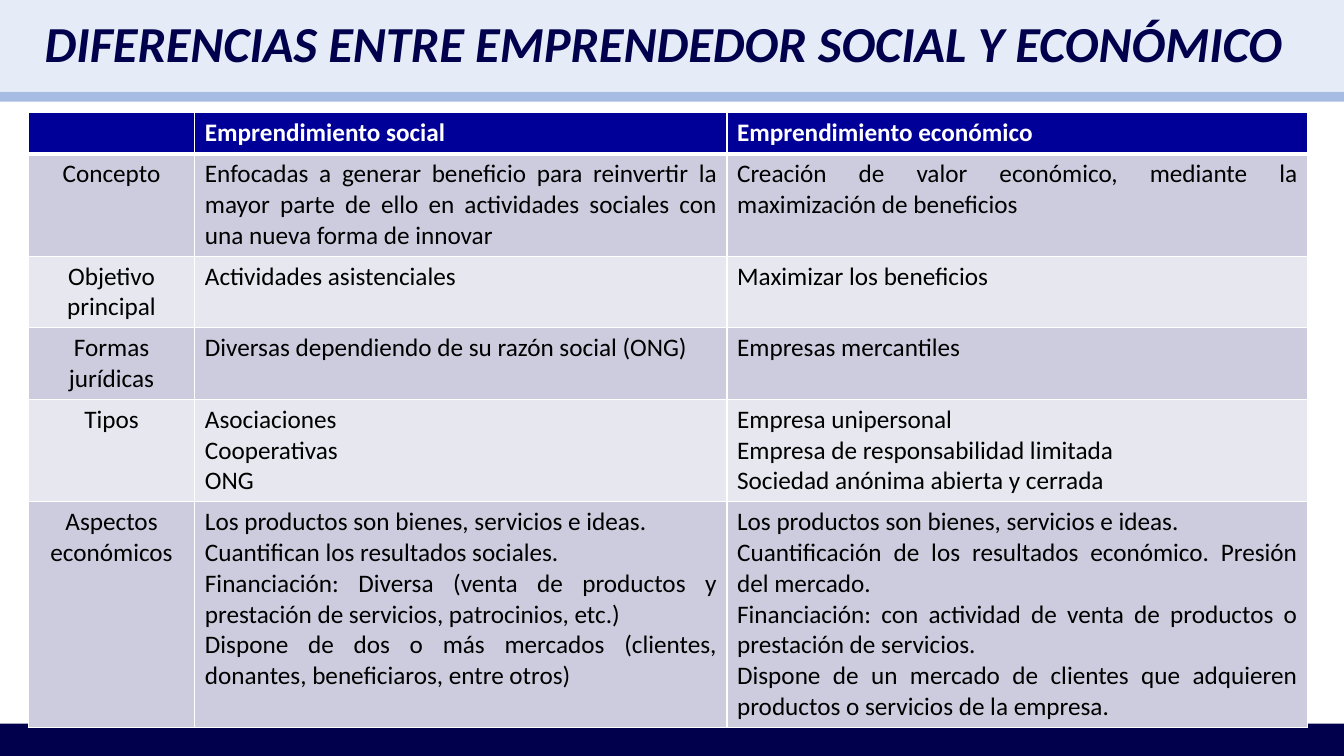
from lxml.etree import SubElement
from pptx import Presentation
from pptx.dml.color import RGBColor
from pptx.enum.shapes import MSO_SHAPE
from pptx.enum.text import MSO_ANCHOR, MSO_AUTO_SIZE, PP_ALIGN
from pptx.oxml.ns import qn
from pptx.util import Inches, Pt

SLIDE_WIDTH, SLIDE_HEIGHT = Inches(13.33), Inches(7.5)
FONT = "Calibri"
COLORS = {
    "navy": "00004C",
    "header": "000099",
    "title_band": "E5EBF7",
    "stripe": "A7BCE3",
    "row_dark": "CCCCDE",
    "row_light": "E7E7EF",
    "white": "FFFFFF",
    "black": "000000",
}

TITLE = "DIFERENCIAS ENTRE EMPRENDEDOR SOCIAL Y ECONÓMICO"
COLUMN_SHARES = (12.4, 39.6, 43.2)
HEADINGS = ("", "Emprendimiento social", "Emprendimiento económico")
# Each row: number of text lines, label, social paragraphs, economic paragraphs
ROWS = [
    (3, "Concepto",
     ["Enfocadas a generar beneficio para reinvertir la mayor parte de ello "
      "en actividades sociales con una nueva forma de innovar"],
     ["Creación de valor económico, mediante la maximización de beneficios"]),
    (2, "Objetivo principal",
     ["Actividades asistenciales"],
     ["Maximizar los beneficios"]),
    (2, "Formas jurídicas",
     ["Diversas dependiendo de su razón social (ONG)"],
     ["Empresas mercantiles"]),
    (3, "Tipos",
     ["Asociaciones", "Cooperativas", "ONG"],
     ["Empresa unipersonal",
      "Empresa de responsabilidad limitada",
      "Sociedad anónima abierta y cerrada"]),
    (7, "Aspectos económicos",
     ["Los productos son bienes, servicios e ideas.",
      "Cuantifican los resultados sociales.",
      "Financiación: Diversa (venta de productos y prestación de servicios, "
      "patrocinios, etc.)",
      "Dispone de dos o más mercados (clientes, donantes, beneficiaros, "
      "entre otros)"],
     ["Los productos son bienes, servicios e ideas.",
      "Cuantificación de los resultados económico. Presión del mercado.",
      "Financiación: con actividad de venta de productos o prestación de "
      "servicios.",
      "Dispone de un mercado de clientes que adquieren productos o servicios "
      "de la empresa."]),
]


def across(percent):
    return round(SLIDE_WIDTH * percent / 100)


def down(percent):
    return round(SLIDE_HEIGHT * percent / 100)


def rgb(name):
    return RGBColor.from_string(COLORS[name])


def add_line(parent, tag, color, points):
    """Append a solid line element, such as a cell border or text outline."""
    line = SubElement(parent, qn(tag), w=str(Pt(points)))
    fill = SubElement(line, qn("a:solidFill"))
    SubElement(fill, qn("a:srgbClr"), val=COLORS[color])


def add_run(paragraph, text, size, color, bold=False, italic=False):
    run = paragraph.add_run()
    run.text = text
    run.font.name = FONT
    run.font.size = Pt(size)
    run.font.bold = bold
    run.font.italic = italic
    run.font.color.rgb = rgb(color)
    return run


def add_band(slide, top, height, color):
    band = slide.shapes.add_shape(
        MSO_SHAPE.RECTANGLE, 0, down(top), SLIDE_WIDTH, down(height))
    band.shadow.inherit = False
    band.fill.solid()
    band.fill.fore_color.rgb = rgb(color)
    band.line.fill.background()


def place_title(slide):
    title = slide.shapes.title
    title.left, title.top = across(1.7), down(0.93)
    title.width, title.height = across(95.4), down(9.47)
    frame = title.text_frame
    frame.word_wrap = True
    frame.auto_size = MSO_AUTO_SIZE.NONE
    frame.vertical_anchor = MSO_ANCHOR.MIDDLE
    paragraph = frame.paragraphs[0]
    paragraph.alignment = PP_ALIGN.CENTER
    paragraph.line_spacing = 1.0
    run = add_run(paragraph, TITLE, 36, "navy", bold=True, italic=True)
    properties = run.font._element
    add_line(properties, "a:ln", "navy", 1)
    properties.insert(0, properties[-1])
    # Bring the title in front of its band
    title.element.getparent().append(title.element)


def fill_cell(cell, texts, fill, alignment, color="black", bold=False,
              bottom_border=1):
    properties = cell._tc.get_or_add_tcPr()
    for tag, points in (("a:lnL", 1), ("a:lnR", 1), ("a:lnT", 1),
                        ("a:lnB", bottom_border)):
        add_line(properties, tag, "white", points)
    cell.fill.solid()
    cell.fill.fore_color.rgb = rgb(fill)
    frame = cell.text_frame
    for index, text in enumerate(texts):
        paragraph = frame.add_paragraph() if index else frame.paragraphs[0]
        paragraph.alignment = alignment
        if text:
            add_run(paragraph, text, 18, color, bold)


def add_comparison_table(slide):
    line_counts = [1] + [row[0] for row in ROWS]
    heights = [down(4 * lines + 1.33) for lines in line_counts]
    table = slide.shapes.add_table(
        len(heights), len(COLUMN_SHARES), across(2.1), down(14.93),
        across(sum(COLUMN_SHARES)), sum(heights)).table
    for column, share in zip(table.columns, COLUMN_SHARES):
        column.width = across(share)
    for row, height in zip(table.rows, heights):
        row.height = height

    for column, heading in enumerate(HEADINGS):
        fill_cell(table.cell(0, column), [heading], "header", PP_ALIGN.LEFT,
                  "white", bold=True, bottom_border=3)
    for row, (_, label, social, economic) in enumerate(ROWS, start=1):
        fill = "row_dark" if row % 2 else "row_light"
        fill_cell(table.cell(row, 0), [label], fill, PP_ALIGN.CENTER)
        fill_cell(table.cell(row, 1), social, fill, PP_ALIGN.JUSTIFY)
        fill_cell(table.cell(row, 2), economic, fill, PP_ALIGN.JUSTIFY)


def main():
    presentation = Presentation()
    presentation.slide_width = SLIDE_WIDTH
    presentation.slide_height = SLIDE_HEIGHT
    slide = presentation.slides.add_slide(presentation.slide_layouts[5])
    add_band(slide, 12.13, 1.33, "stripe")
    add_band(slide, 0, 12.13, "title_band")
    add_band(slide, 95.73, 4.27, "navy")
    add_comparison_table(slide)
    place_title(slide)
    presentation.save("out.pptx")


if __name__ == "__main__":
    main()
